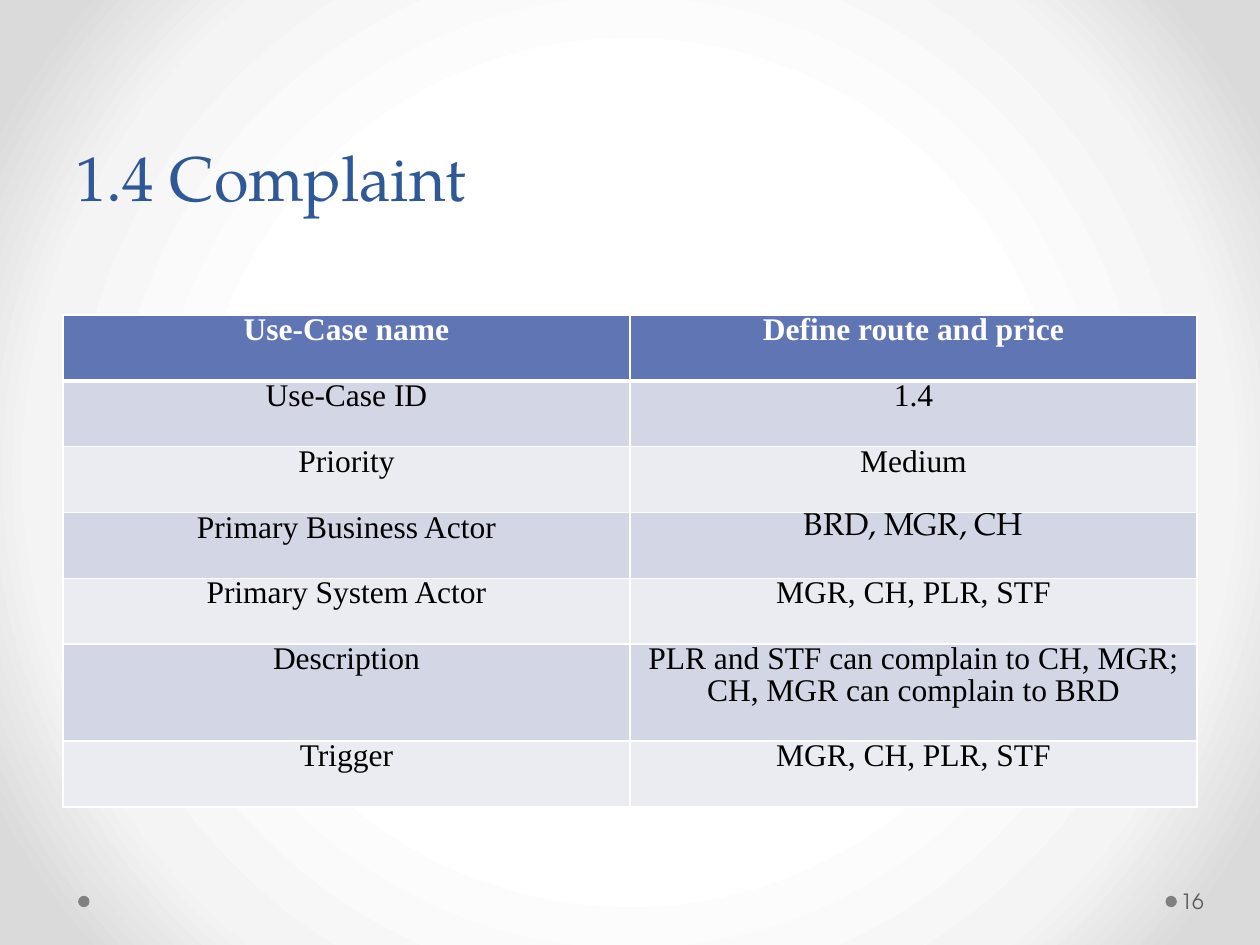
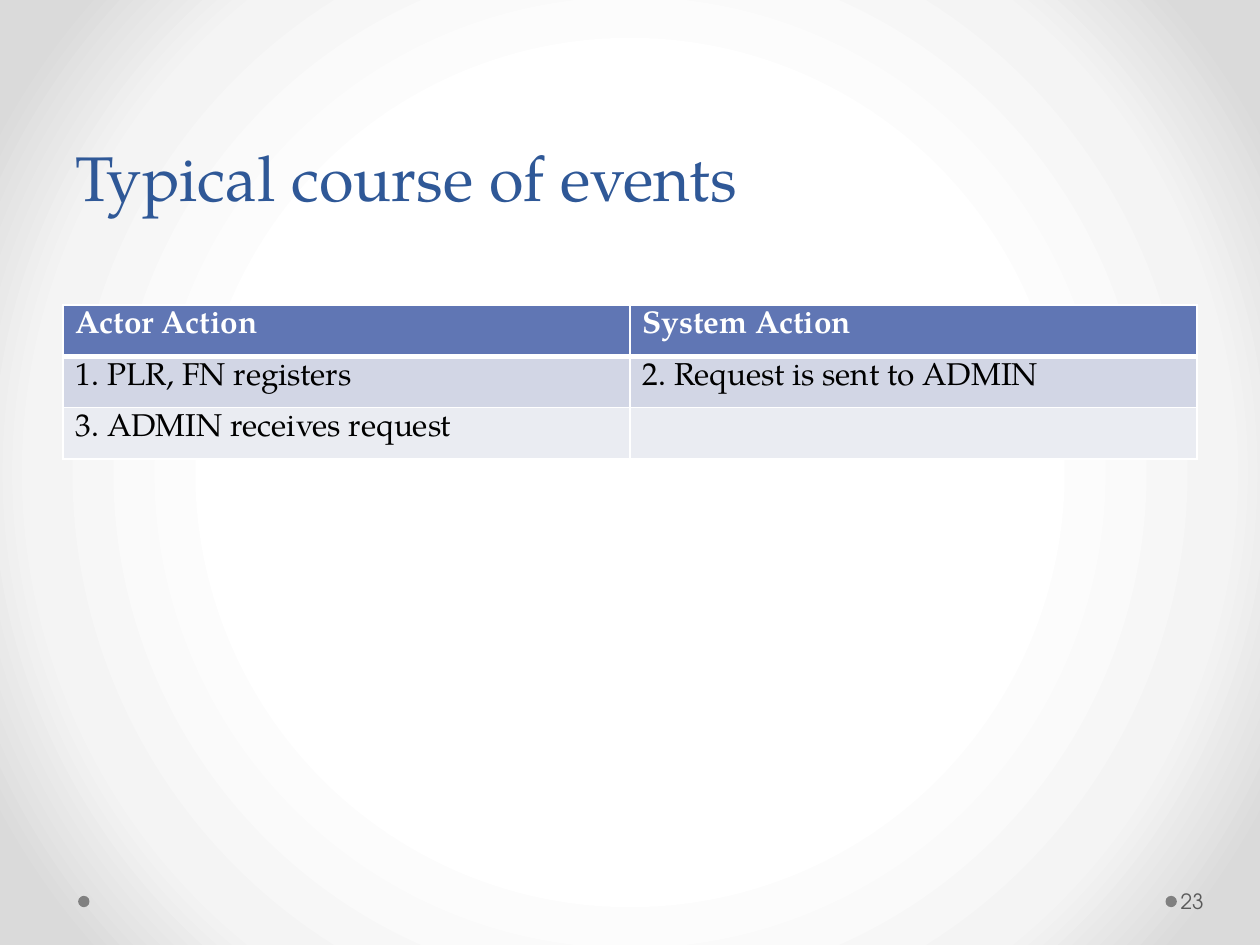
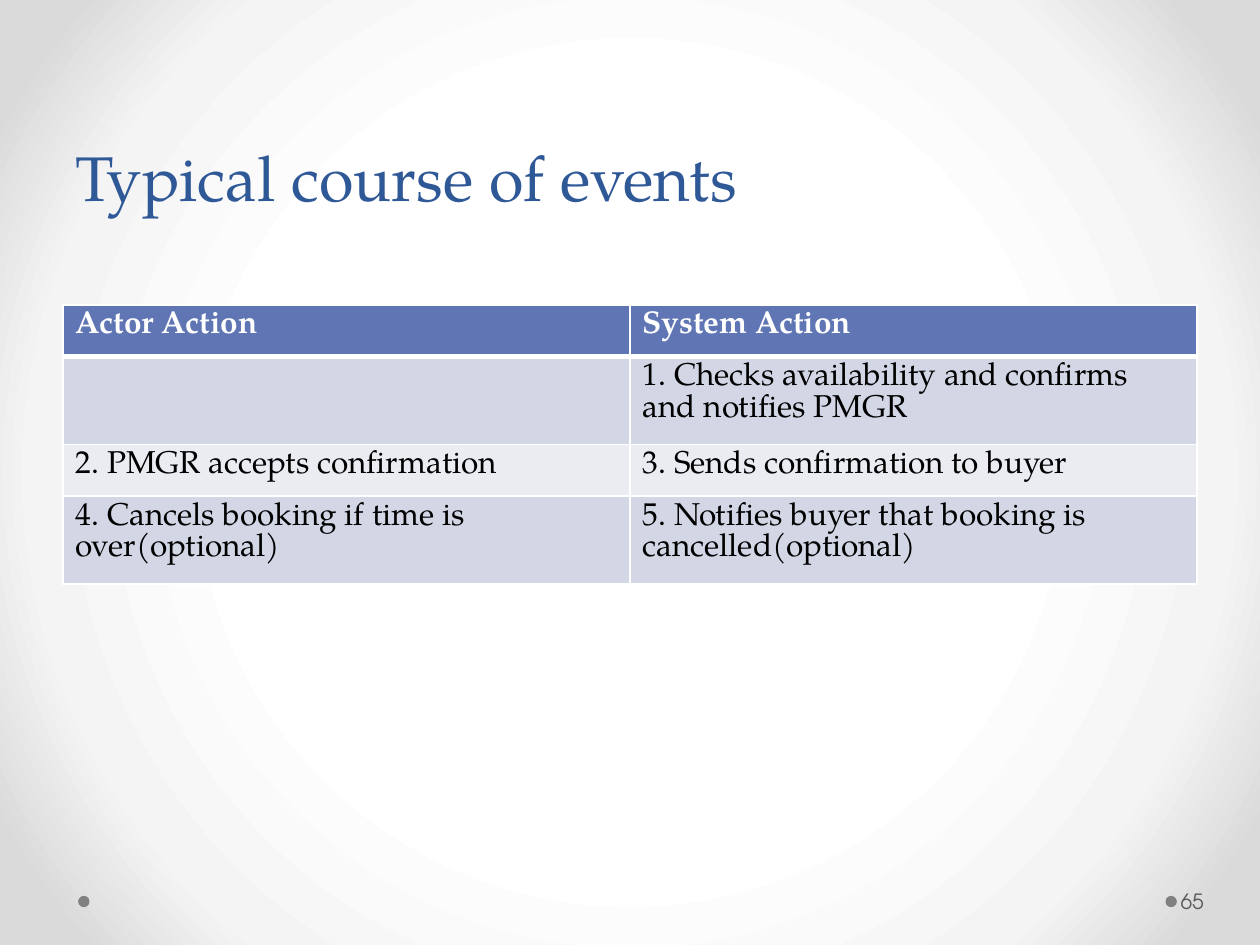
from lxml import etree
from pptx import Presentation
from pptx import util as u
from pptx.dml.color import RGBColor
from pptx.enum import shapes, text
from pptx.oxml import parse_xml
from pptx.oxml.ns import nsdecls, qn

# Slide grid: 20 columns by 30 rows, each 0.5 by 0.25 inches
WIDTH, HEIGHT = u.Inches(10), u.Inches(7.5)
COLUMN, ROW = WIDTH / 20, HEIGHT / 30

# Shared style
SERIF, TABLE_SERIF, SANS = "TeX Gyre Pagella", "Times New Roman", "TeX Gyre Adventor"
TITLE_BLUE = RGBColor(0x2F, 0x58, 0x97)
HEADER_BLUE = RGBColor(0x60, 0x76, 0xB4)
BAND_DARK = RGBColor(0xD2, 0xD6, 0xE5)
BAND_LIGHT = RGBColor(0xEA, 0xEC, 0xF2)
DOT_GREY = RGBColor(0x80, 0x80, 0x80)
NUMBER_GREY = RGBColor(0x59, 0x59, 0x59)
WHITE = RGBColor(0xFF, 0xFF, 0xFF)
BLACK = RGBColor(0, 0, 0)
BACKGROUND_STOPS = [(50, WHITE), (76, RGBColor(0xF4, 0xF4, 0xF4)),
                    (92, RGBColor(0xDA, 0xDA, 0xDA))]

# Regions as (left, top, width, height) in columns and rows
TITLE_BOX = (1, 0, 18, 7)
FOOTER_BOX = (1.24, 27.8, 18.66, 1.6)
USE_CASE_BOX = (1, 10, 18, 15.64)
EVENTS_BOX = (1, 9.68, 18, 8.08)
LINE_ROWS, TWO_LINE_ROWS = 1.63, 2.41

USE_CASE = [
    ("Use-Case name", "Define route and price"),
    ("Use-Case ID", "1.4"),
    ("Priority", "Medium"),
    ("Primary Business Actor", "BRD, MGR, CH"),
    ("Primary System Actor", "MGR, CH, PLR, STF"),
    ("Description", "PLR and STF can complain to CH, MGR; CH, MGR can complain to BRD"),
    ("Trigger", "MGR, CH, PLR, STF"),
]
EVENTS_HEADER = ("Actor Action", "System Action")
REGISTRATION = [
    EVENTS_HEADER,
    ("1. PLR, FN registers", "2. Request is sent to ADMIN"),
    ("3. ADMIN receives request", ""),
]
BOOKING = [
    EVENTS_HEADER,
    ("", "1. Checks availability and confirms and notifies PMGR"),
    ("2. PMGR accepts confirmation", "3. Sends confirmation to buyer"),
    ("4. Cancels booking if time is over(optional)",
     "5. Notifies buyer that booking is cancelled(optional)"),
]


def place(box):
    """Turn grid units into slide lengths."""
    left, top, width, height = box
    return [u.Emu(round(size)) for size in
            (left * COLUMN, top * ROW, width * COLUMN, height * ROW)]


def add_span(para, words, font, size, colour, bold=False):
    span = para.add_run()
    span.text = words
    span.font.name, span.font.size, span.font.bold = font, u.Pt(size), bold
    span.font.color.rgb = colour


def set_background(master):
    fill = master.background.fill
    fill.solid()
    solid = master.element.find(".//" + qn("a:solidFill"))
    stops = "".join(f'<a:gs pos="{share * 1000}"><a:srgbClr val="{colour}"/></a:gs>'
                    for share, colour in BACKGROUND_STOPS)
    solid.getparent().replace(solid, parse_xml(
        f'<a:gradFill {nsdecls("a")} rotWithShape="1"><a:gsLst>{stops}</a:gsLst>'
        '<a:path path="circle"><a:fillToRect l="50000" t="50000" r="50000" b="50000"/>'
        '</a:path></a:gradFill>'))


def add_title(page, words, box):
    frame = page.shapes.add_textbox(*place(box)).text_frame
    frame.word_wrap = True
    frame.vertical_anchor = text.MSO_ANCHOR.BOTTOM
    para = frame.paragraphs[0]
    para.line_spacing = u.Pt(58)
    add_span(para, words, SERIF, 36, TITLE_BLUE)


def add_footer(page, number, box):
    left, top, width, height = box
    # Dots at the left edge and before the number
    for offset in (0, 17.26):
        dot = page.shapes.add_shape(shapes.MSO_SHAPE.OVAL,
                                    *place((left + offset, top + 0.64, 0.18, 0.36)))
        dot.shadow.inherit = False
        dot.fill.solid()
        dot.fill.fore_color.rgb = DOT_GREY
        dot.line.fill.background()
    # Slide number
    frame = page.shapes.add_textbox(
        *place((left + width - 1.22, top, 1.22, height))).text_frame
    frame.word_wrap = True
    frame.vertical_anchor = text.MSO_ANCHOR.MIDDLE
    frame.margin_left, frame.margin_right = u.Inches(0.03), u.Inches(0.05)
    add_span(frame.paragraphs[0], str(number), SANS, 12, NUMBER_GREY)


def set_borders(cell, bottom):
    properties = cell._tc.get_or_add_tcPr()
    widths = {"lnL": 1, "lnR": 1, "lnT": 1, "lnB": bottom}
    for index, (side, width) in enumerate(widths.items()):
        line = etree.Element(qn("a:" + side), w=str(u.Pt(width)))
        solid = etree.SubElement(line, qn("a:solidFill"))
        etree.SubElement(solid, qn("a:srgbClr"), val=str(WHITE))
        properties.insert(index, line)


def add_table(page, entries, box, heights, font_for, centred=False):
    """Draw a header row and banded rows; centred tables have tight cells."""
    table = page.shapes.add_table(len(entries), 2, *place(box)).table
    for row, height in zip(table.rows, heights):
        row.height = u.Emu(round(height * ROW))
    for index, entry in enumerate(entries):
        header = index == 0
        fill = HEADER_BLUE if header else (BAND_LIGHT, BAND_DARK)[index % 2]
        for column, words in enumerate(entry):
            cell = table.cell(index, column)
            cell.fill.solid()
            cell.fill.fore_color.rgb = fill
            set_borders(cell, 3 if header else 1)
            para = cell.text_frame.paragraphs[0]
            if centred:
                cell.margin_left = cell.margin_right = u.Inches(0.07)
                cell.margin_top = cell.margin_bottom = 0
                para.alignment = text.PP_ALIGN.CENTER
                para.line_spacing = 0.92
            if words:
                add_span(para, words, font_for(words), 18,
                         WHITE if header else BLACK, header)


def add_page(deck, title, number):
    page = deck.slides.add_slide(deck.slide_layouts[6])
    add_footer(page, number, FOOTER_BOX)
    add_title(page, title, TITLE_BOX)
    return page


def add_use_case_page(deck, title, number, entries):
    page = add_page(deck, title, number)
    heights = [3.08 if entry[0] == "Description" else 2.09 for entry in entries]
    add_table(page, entries, USE_CASE_BOX, heights,
              lambda words: SERIF if words.startswith("BRD") else TABLE_SERIF, True)


def add_events_page(deck, number, entries):
    page = add_page(deck, "Typical course of events", number)
    heights = [TWO_LINE_ROWS if max(map(len, entry)) > 40 else LINE_ROWS
               for entry in entries]
    add_table(page, entries, EVENTS_BOX[:3] + (sum(heights),), heights,
              lambda words: SERIF)


def main():
    deck = Presentation()
    deck.slide_width, deck.slide_height = WIDTH, HEIGHT
    set_background(deck.slide_master)
    add_use_case_page(deck, "1.4 Complaint", 16, USE_CASE)
    add_events_page(deck, 23, REGISTRATION)
    add_events_page(deck, 65, BOOKING)
    deck.save("out.pptx")


if __name__ == "__main__":
    main()
